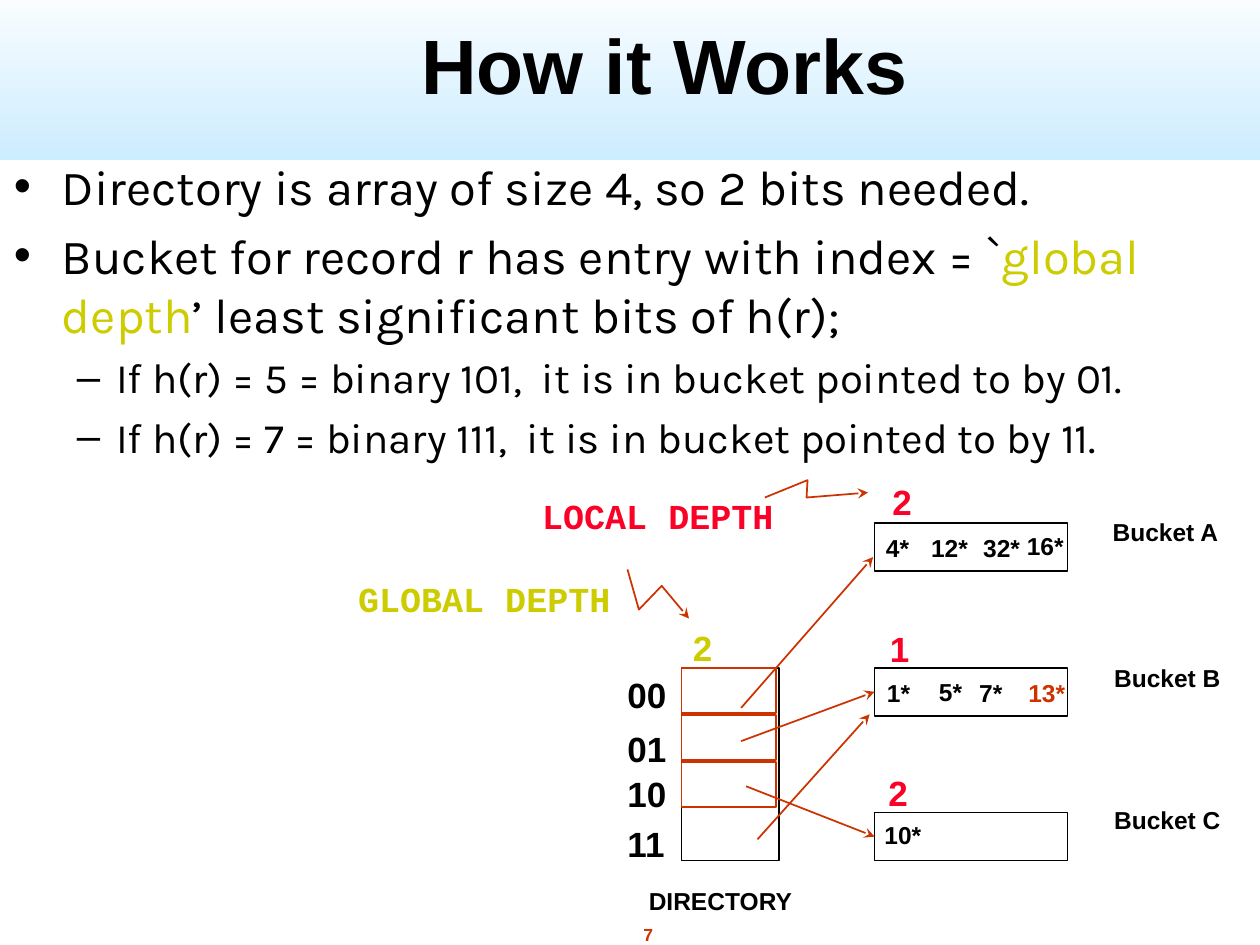
from lxml import etree
from pptx import Presentation
from pptx.dml.color import RGBColor
from pptx.enum.shapes import MSO_CONNECTOR, MSO_SHAPE
from pptx.enum.text import MSO_ANCHOR, PP_ALIGN
from pptx.oxml.ns import qn
from pptx.util import Cm, Pt

RECT = MSO_SHAPE.RECTANGLE
STRAIGHT = MSO_CONNECTOR.STRAIGHT
TOP, BOTTOM = MSO_ANCHOR.TOP, MSO_ANCHOR.BOTTOM
LEFT, CENTER = PP_ALIGN.LEFT, PP_ALIGN.CENTER
LEFT_SIDE = 1

BLACK, WHITE, SKY = "000000", "FFFFFF", "CCECFF"
RUST, RED, OLIVE = "CC3300", "FC0128", "CCCC00"

TITLE = "How it Works"
PAGE = "7"
BULLETS = [
    (0, [("Directory is array of size 4, so 2 bits needed.", BLACK)]),
    (0, [("Bucket for record r has entry with index = `", BLACK),
         ("global depth", OLIVE),
         ("’ least significant bits of h(r);", BLACK)]),
    (1, [("If h(r) = 5 = binary 101,  it is in bucket pointed to by 01.", BLACK)]),
    (1, [("If h(r) = 7 = binary 111,  it is in bucket pointed to by 11.", BLACK)]),
]
LEVELS = [
    {"bullet": "•", "size": 28, "margin": 0.97, "hang": 0.97, "before": 6},
    {"bullet": "–", "size": 24, "margin": 2.06, "hang": 0.79, "before": 5},
]

DIR_LEFT, DIR_TOP, CELL_PITCH = 13.74, 13.46, 0.95
INDEXES = [("00", 13.44), ("01", 14.53), ("10", 15.44), ("11", 16.46)]
BUCKET_LEFT, BUCKET_TOP, BUCKET_PITCH = 17.63, 10.54, 2.92
BUCKETS = [
    {"name": ("Bucket A", 22.3, 10.29), "depth": ("2", 17.86, 9.55),
     "entries": [("4*", 17.73, 10.62, BLACK), ("12*", 18.64, 10.62, BLACK),
                 ("32*", 19.69, 10.62, BLACK), ("16*", 20.57, 10.57, BLACK)]},
    {"name": ("Bucket B", 22.33, 13.23), "depth": ("1", 17.81, 12.52),
     "entries": [("1*", 17.75, 13.54, BLACK), ("5*", 18.8, 13.52, BLACK),
                 ("7*", 19.61, 13.54, BLACK), ("13*", 20.6, 13.54, RUST)]},
    {"name": ("Bucket C", 22.33, 16.1), "depth": ("2", 17.78, 15.42),
     "entries": [("10*", 17.7, 16.41, BLACK)]},
]
POINTERS = [
    ((14.94, 14.27), (17.6, 11.23), None),
    ((14.94, 14.94), (17.63, 13.95), 1),
    ((15.04, 15.85), (17.63, 16.87), 2),
    ((15.27, 16.92), (17.53, 14.4), None),
]
ZIGZAGS = [
    [(12.65, 11.48), (12.88, 12.29), (13.34, 11.81), (13.89, 12.47)],
    [(15.42, 10.03), (16.28, 9.68), (16.26, 10.03), (17.5, 9.93)],
]


def rgb(value):
    return RGBColor.from_string(value)


def add_run(paragraph, text, size, color, font="Arial", bold=True):
    run = paragraph.add_run()
    run.text = text
    run.font.name = font
    run.font.size = Pt(size)
    run.font.bold = bold
    run.font.color.rgb = rgb(color)


def add_frame(left, top, width, height, wrap=False, anchor=TOP):
    frame = slide.shapes.add_textbox(Cm(left), Cm(top), Cm(width), Cm(height)).text_frame
    frame.word_wrap = wrap
    frame.vertical_anchor = anchor
    frame.margin_left = frame.margin_right = Cm(0.13)
    frame.margin_top = frame.margin_bottom = Cm(0.13)
    return frame


def add_label(text, left, top, width, size, color=BLACK, font="Arial", align=LEFT):
    paragraph = add_frame(left, top, width, 0.25 + size * 0.042).paragraphs[0]
    paragraph.alignment = align
    add_run(paragraph, text, size, color, font)


def add_box(left, top, width, height, color):
    box = slide.shapes.add_shape(RECT, Cm(left), Cm(top), Cm(width), Cm(height))
    box.shadow.inherit = False
    box.fill.background()
    box.line.color.rgb = rgb(color)
    box.line.width = Pt(1)
    return box


def style_arrow(arrow):
    arrow.line.color.rgb = rgb(RUST)
    arrow.line.width = Pt(1)
    line = arrow.element.spPr.find(qn("a:ln"))
    etree.SubElement(line, qn("a:tailEnd"), type="stealth")


def add_zigzag(points):
    start, *rest = [(Cm(x), Cm(y)) for x, y in points]
    builder = slide.shapes.build_freeform(*start)
    builder.add_line_segments(rest, close=False)
    zigzag = builder.convert_to_shape()
    zigzag.shadow.inherit = False
    zigzag.fill.background()
    style_arrow(zigzag)


def add_pointer(start, end, target):
    pointer = slide.shapes.add_connector(STRAIGHT, *[Cm(v) for v in start + end])
    if target is not None:
        pointer.end_connect(bucket_boxes[target], LEFT_SIDE)
    style_arrow(pointer)
    etree.SubElement(pointer.element.spPr, qn("a:effectLst"))


prs = Presentation()
prs.slide_width, prs.slide_height = Cm(25.4), Cm(19.05)
slide = prs.slides.add_slide(prs.slide_layouts[6])

band = add_box(0, -0.43, 25.4, 3.66, SKY)
band.line.fill.background()
band.fill.gradient()
band.fill.gradient_angle = 90
for stop, color in zip(band.fill.gradient_stops, (SKY, WHITE)):
    stop.color.rgb = rgb(color)

heading = add_frame(2.6, -0.15, 21.59, 2.49, wrap=True, anchor=BOTTOM).paragraphs[0]
heading.alignment = CENTER
add_run(heading, TITLE, 44, BLACK)
add_label(PAGE, 12.83, 18.5, 0.48, 10, RUST, align=CENTER)

add_box(DIR_LEFT, DIR_TOP, 1.96, 3.89, BLACK)
for row in range(3):
    add_box(DIR_LEFT, DIR_TOP + row * CELL_PITCH, 1.9, 0.91, RUST)
for index, top in INDEXES:
    add_label(index, 12.52, top, 1.07, 20)
add_label("2", 13.84, 12.5, 0.69, 20, OLIVE)
add_label("DIRECTORY", 12.95, 17.73, 3.18, 14)
add_label("GLOBAL DEPTH", 7.09, 11.51, 5.36, 20, OLIVE, "Courier New")
add_label("LOCAL DEPTH", 10.8, 9.83, 4.95, 20, RED, "Courier New")

bucket_boxes = []
for position, bucket in enumerate(BUCKETS):
    top = BUCKET_TOP + position * BUCKET_PITCH
    bucket_boxes.append(add_box(BUCKET_LEFT, top, 3.89, 0.97, BLACK))
    add_label(*bucket["depth"], 0.69, 20, RED)
    add_label(*bucket["name"], 2.43, 14)
    for entry, left, entry_top, color in bucket["entries"]:
        add_label(entry, left, entry_top, 0.2 + 0.28 * len(entry), 14, color)

for points in ZIGZAGS:
    add_zigzag(points)
for pointer in POINTERS:
    add_pointer(*pointer)

body = add_frame(0.15, 3.02, 24.28, 6.55, wrap=True)
for number, (level, parts) in enumerate(BULLETS):
    style = LEVELS[level]
    paragraph = body.add_paragraph() if number else body.paragraphs[0]
    paragraph.level = level
    properties = paragraph._p.get_or_add_pPr()
    properties.set("marL", str(Cm(style["margin"])))
    properties.set("indent", str(-Cm(style["hang"])))
    etree.SubElement(properties, qn("a:buFont"), typeface="Arial")
    etree.SubElement(properties, qn("a:buChar"), char=style["bullet"])
    if number:
        paragraph.space_before = Pt(style["before"])
    for text, color in parts:
        add_run(paragraph, text, style["size"], color, "Karla", False)

prs.save("out.pptx")
